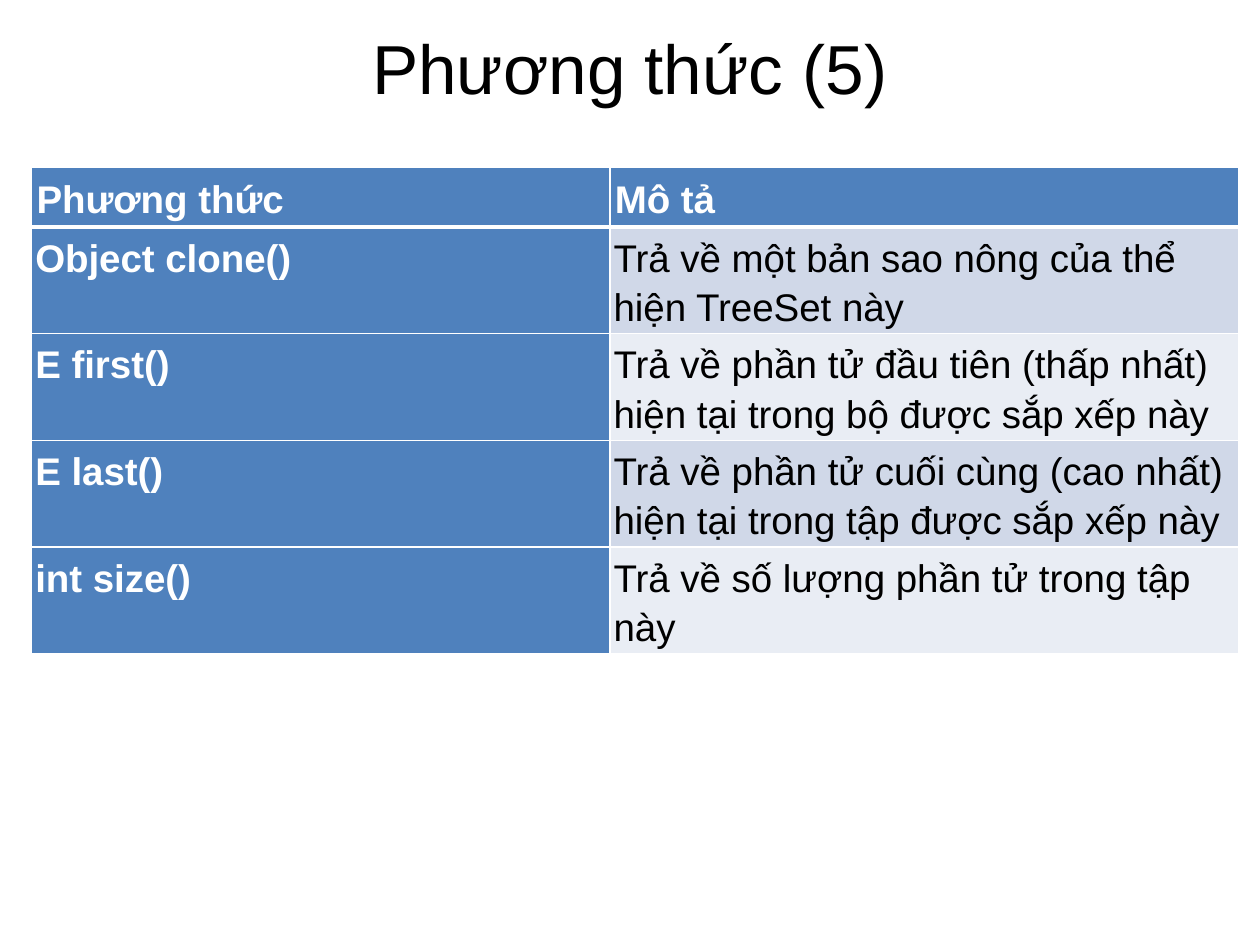
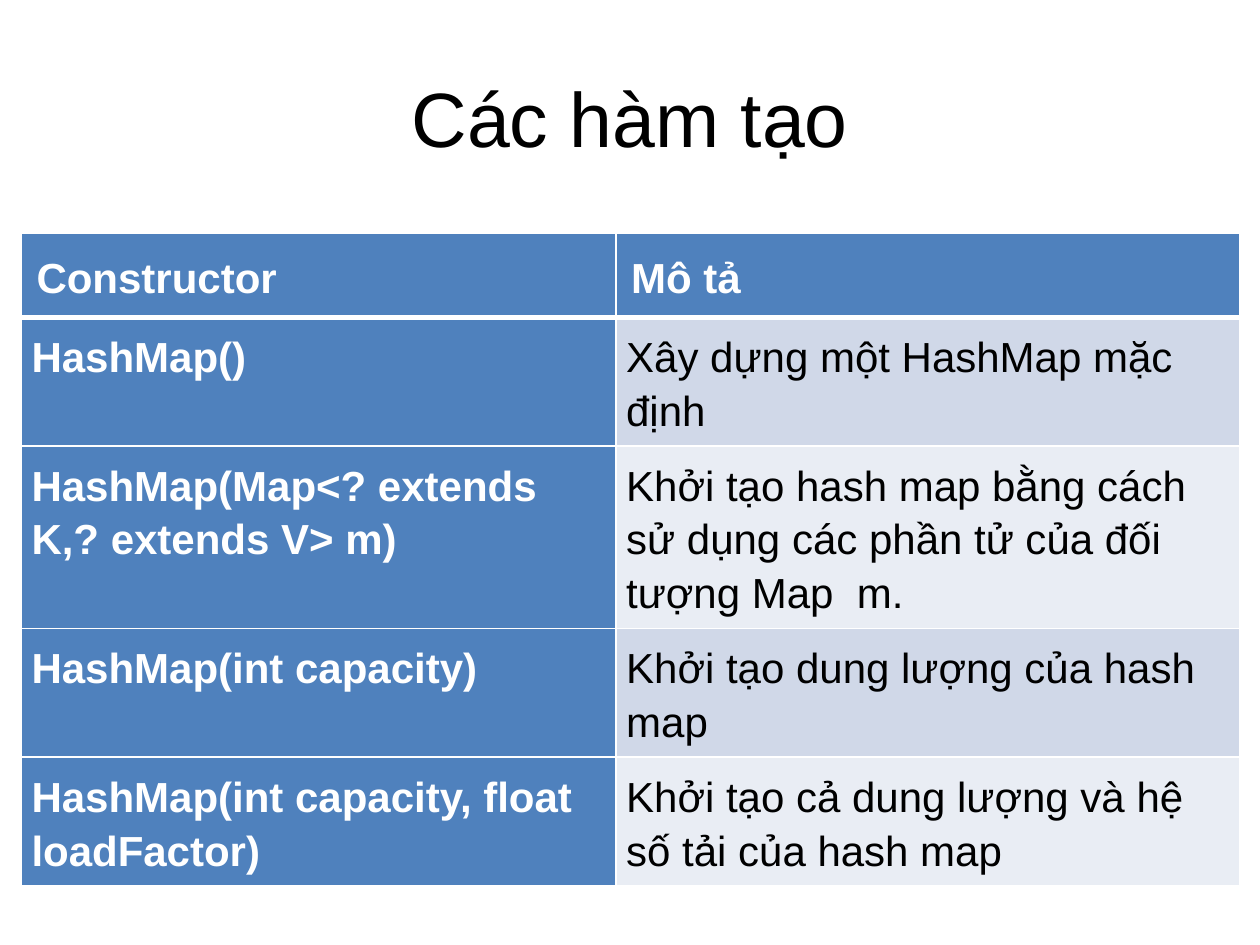
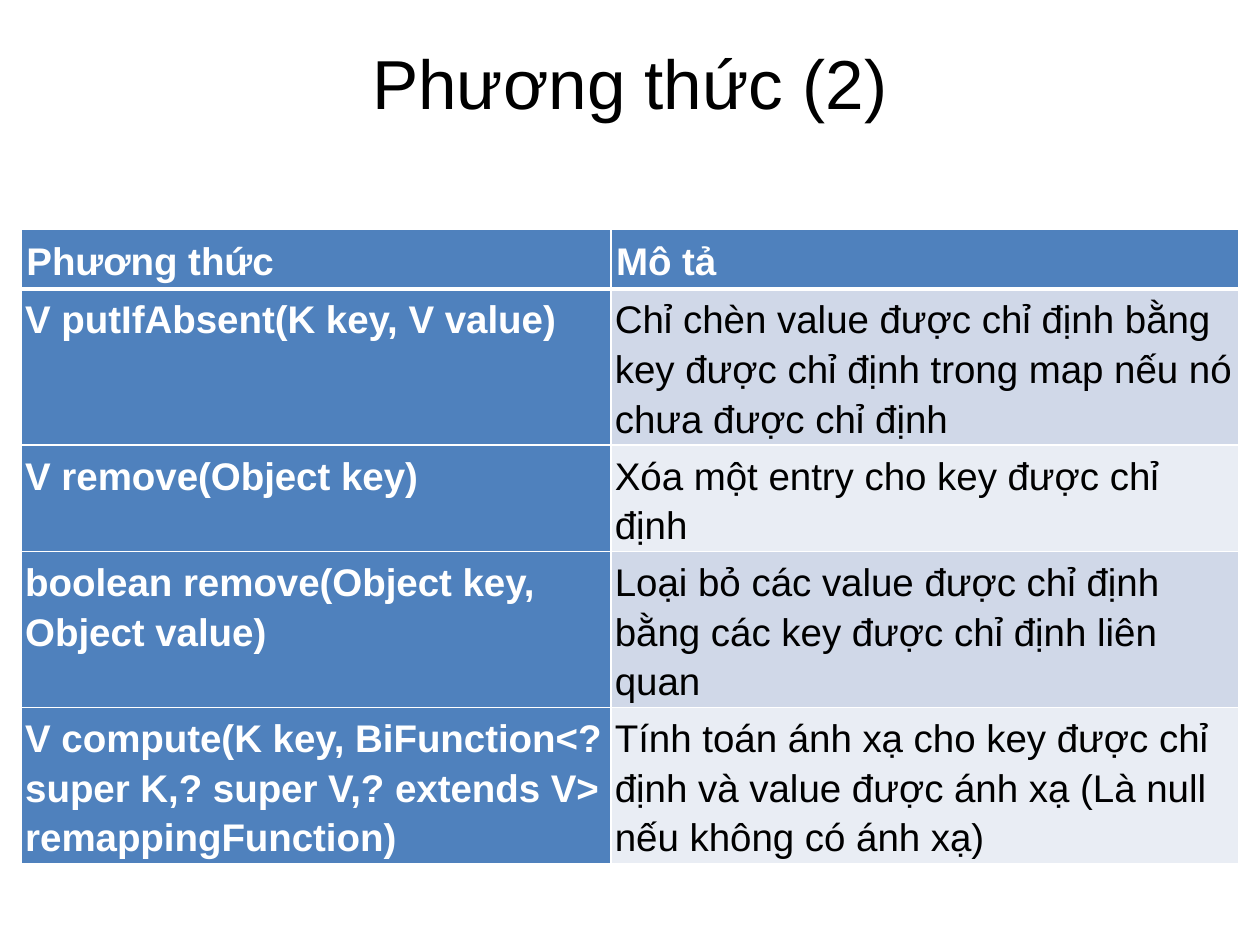
from dataclasses import dataclass

from lxml.etree import SubElement
from pptx import Presentation
from pptx.dml.color import RGBColor
from pptx.enum.text import MSO_ANCHOR, MSO_AUTO_SIZE, PP_ALIGN
from pptx.oxml.ns import qn
from pptx.slide import Slide
from pptx.table import _Cell as Cell
from pptx.text.text import Font
from pptx.util import Inches, Pt

BLACK = RGBColor(0x00, 0x00, 0x00)
WHITE = RGBColor(0xFF, 0xFF, 0xFF)
BLUE = RGBColor(0x4F, 0x81, 0xBD)
BANDS = (RGBColor(0xD0, 0xD8, 0xE8), RGBColor(0xE9, 0xED, 0xF4))
FONT_NAME = "Arial"
LINE_SPACING = 1.15
THIN, THICK = Pt(1), Pt(3)
TITLE_ONLY = 5


@dataclass(frozen=True)
class TableStyle:
    text_size: float
    line_height: float
    header_inset: float
    body_inset: float


@dataclass(frozen=True)
class Entry:
    signature: str
    description: str
    lines: int = 2


@dataclass(frozen=True)
class ReferenceSlide:
    title: str
    title_top: float
    title_height: float
    title_size: float
    table_left: float
    table_top: float
    columns: tuple[float, float]
    style: TableStyle
    header: Entry
    entries: tuple[Entry, ...]


COMPACT = TableStyle(22, 0.39, 0.04, 0.03)
ROOMY = TableStyle(24, 0.43, 0.12, 0.08)
METHOD_HEADER = Entry("Phương thức", "Mô tả", 1)

SLIDES = (
    ReferenceSlide(
        "Phương thức (5)", 0.22, 0.62, 39.6, 0.25, 1.33, (4.59, 4.99),
        COMPACT, METHOD_HEADER,
        (
            Entry("Object clone()", "Trả về một bản sao nông của thể hiện TreeSet này"),
            Entry("E first()",
                  "Trả về phần tử đầu tiên (thấp nhất) hiện tại trong bộ được sắp xếp này"),
            Entry("E last()",
                  "Trả về phần tử cuối cùng (cao nhất) hiện tại trong tập được sắp xếp này"),
            Entry("int size()", "Trả về số lượng phần tử trong tập này"),
        ),
    ),
    ReferenceSlide(
        "Các hàm tạo", 0.3, 1.25, 44, 0.17, 1.85, (4.72, 4.95),
        ROOMY, Entry("Constructor", "Mô tả", 1),
        (
            Entry("HashMap()", "Xây dựng một HashMap mặc định"),
            Entry("HashMap(Map<? extends K,? extends V> m)",
                  "Khởi tạo hash map bằng cách sử dụng các phần tử của đối tượng Map  m.", 3),
            Entry("HashMap(int capacity)", "Khởi tạo dung lượng của hash map"),
            Entry("HashMap(int capacity, float loadFactor)",
                  "Khởi tạo cả dung lượng và hệ số tải của hash map"),
        ),
    ),
    ReferenceSlide(
        "Phương thức (2)", 0.3, 0.7, 39.6, 0.17, 1.82, (4.68, 4.98),
        COMPACT, METHOD_HEADER,
        (
            Entry("V putIfAbsent(K key, V value)",
                  "Chỉ chèn value được chỉ định bằng key được chỉ định trong map "
                  "nếu nó chưa được chỉ định", 3),
            Entry("V remove(Object key)", "Xóa một entry cho key được chỉ định"),
            Entry("boolean remove(Object key, Object value)",
                  "Loại bỏ các value được chỉ định bằng các key được chỉ định liên quan", 3),
            Entry("V compute(K key, BiFunction<? super K,? super V,? extends V> "
                  "remappingFunction)",
                  "Tính toán ánh xạ cho key được chỉ định và value được ánh xạ "
                  "(Là null nếu không có ánh xạ)", 3),
        ),
    ),
)


def format_font(font: Font, size: float, color: RGBColor, bold: bool = False) -> None:
    for attribute, value in {"name": FONT_NAME, "size": Pt(size), "bold": bold}.items():
        setattr(font, attribute, value)
    font.color.rgb = color


def add_borders(cell: Cell, top: int, bottom: int) -> None:
    properties = cell._tc.get_or_add_tcPr()
    for side, width in {"lnL": THIN, "lnR": THIN, "lnT": top, "lnB": bottom}.items():
        border = SubElement(properties, qn(f"a:{side}"), w=str(int(width)))
        fill = SubElement(border, qn("a:solidFill"))
        SubElement(fill, qn("a:srgbClr"), val=str(WHITE))


def fill_cell(cell: Cell, text: str, row: int, is_signature: bool, style: TableStyle) -> None:
    is_header = row == 0
    emphasised = is_header or is_signature
    add_borders(cell, THICK if row == 1 else THIN, THICK if is_header else THIN)
    cell.fill.solid()
    cell.fill.fore_color.rgb = BLUE if emphasised else BANDS[(row - 1) % 2]
    inset = Inches(style.header_inset if is_header else style.body_inset)
    for side in ("left", "top", "right", "bottom"):
        setattr(cell, f"margin_{side}", inset)
    cell.text = text
    paragraph = cell.text_frame.paragraphs[0]
    paragraph.line_spacing = LINE_SPACING
    format_font(paragraph.runs[0].font, style.text_size,
                WHITE if emphasised else BLACK, emphasised)


def set_title(slide: Slide, content: ReferenceSlide) -> None:
    title = slide.shapes.title
    placement = {"left": 0.5, "top": content.title_top,
                 "width": 9, "height": content.title_height}
    for attribute, value in placement.items():
        setattr(title, attribute, Inches(value))
    frame = title.text_frame
    frame.text = content.title
    frame.auto_size = MSO_AUTO_SIZE.NONE
    frame.vertical_anchor = MSO_ANCHOR.MIDDLE
    paragraph = frame.paragraphs[0]
    paragraph.alignment = PP_ALIGN.CENTER
    format_font(paragraph.runs[0].font, content.title_size, BLACK)


def add_reference_table(slide: Slide, content: ReferenceSlide) -> None:
    style = content.style
    entries = (content.header, *content.entries)
    insets = [style.header_inset] + [style.body_inset] * len(content.entries)
    heights = [entry.lines * style.line_height + 2 * inset
               for entry, inset in zip(entries, insets)]
    table = slide.shapes.add_table(
        len(entries), len(content.columns),
        Inches(content.table_left), Inches(content.table_top),
        Inches(sum(content.columns)), Inches(sum(heights)),
    ).table
    for column, width in zip(table.columns, content.columns):
        column.width = Inches(width)
    for row, (entry, height) in enumerate(zip(entries, heights)):
        table.rows[row].height = Inches(height)
        fill_cell(table.cell(row, 0), entry.signature, row, True, style)
        fill_cell(table.cell(row, 1), entry.description, row, False, style)


def main() -> None:
    presentation = Presentation()
    presentation.slide_width = Inches(10)
    presentation.slide_height = Inches(7.5)
    for content in SLIDES:
        slide = presentation.slides.add_slide(presentation.slide_layouts[TITLE_ONLY])
        set_title(slide, content)
        add_reference_table(slide, content)
    presentation.save("out.pptx")


if __name__ == "__main__":
    main()
